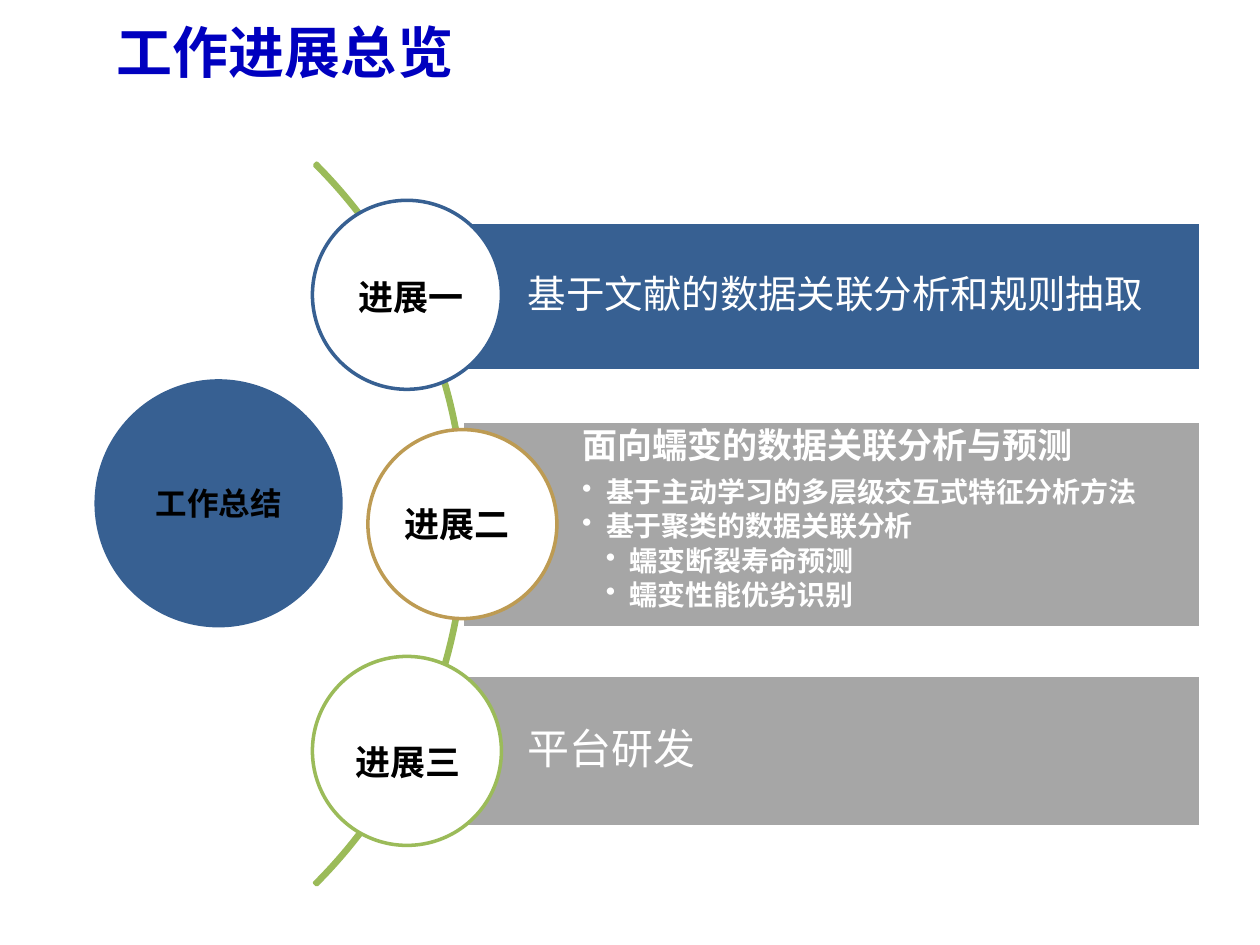
from lxml import etree
from pptx import Presentation
from pptx.dml.color import RGBColor
from pptx.enum.shapes import MSO_SHAPE
from pptx.enum.text import MSO_ANCHOR, MSO_AUTO_SIZE, PP_ALIGN
from pptx.oxml.ns import qn
from pptx.util import Inches, Pt

OVAL, RECT, ARC = MSO_SHAPE.OVAL, MSO_SHAPE.RECTANGLE, MSO_SHAPE.BLOCK_ARC
TOP, MIDDLE = MSO_ANCHOR.TOP, MSO_ANCHOR.MIDDLE
LEFT, CENTER = PP_ALIGN.LEFT, PP_ALIGN.CENTER
FIT_TEXT = MSO_AUTO_SIZE.SHAPE_TO_FIT_TEXT
BLUE, GRAY, GREEN, GOLD = "376092", "A6A6A6", "9BBB59", "BD9B53"
WHITE, BLACK, TITLE_BLUE = "FFFFFF", "000000", "0000BF"
RIGHT_EDGE, CIRCLE, INDENT = 9.53, 1.5, 0.19


def rgb(value):
    """Turn a hex string into a colour."""
    return RGBColor.from_string(value)


def add_shape(s, kind, box, fill=None, line=None):
    """Add a preset shape with a plain fill and an optional 2 pt line."""
    sp = s.shapes.add_shape(kind, *map(Inches, box))
    sp.shadow.inherit = False
    if fill:
        sp.fill.solid()
        sp.fill.fore_color.rgb = rgb(fill)
    else:
        sp.fill.background()
    if line:
        sp.line.color.rgb = rgb(line)
        sp.line.width = Pt(2)
    else:
        sp.line.fill.background()
    return sp


def write(p, text, size, color, bold=False, font="Calibri", align=LEFT):
    """Write one formatted run into a paragraph."""
    p.alignment = align
    r = p.add_run()
    r.text = text
    values = {"size": Pt(size), "bold": bold, "name": font}
    for name, value in values.items():
        setattr(r.font, name, value)
    r.font.color.rgb = rgb(color)


def add_bullet(p, level):
    """Give a paragraph a hanging bullet at the level's indent."""
    p.level = level
    pPr = p._p.get_or_add_pPr()
    pPr.set("marL", str(Inches(INDENT * level)))
    pPr.set("indent", str(-Inches(INDENT)))
    etree.SubElement(pPr, qn("a:buChar")).set("char", "•")


def add_label(s, box, text, size, color, font="Calibri", anchor=TOP):
    """Add a bold one-line text box."""
    sp = s.shapes.add_textbox(*map(Inches, box))
    tf = sp.text_frame
    tf.word_wrap = True
    tf.vertical_anchor = anchor
    if anchor == TOP:
        tf.auto_size = FIT_TEXT
    write(tf.paragraphs[0], text, size, color, True, font)


def add_bar(s, left, top, height, fill, heading, size, items=()):
    """Add a bar with a heading and optional (level, text) bullets."""
    box = (left, top, RIGHT_EDGE - left, height)
    tf = add_shape(s, RECT, box, fill, WHITE).text_frame
    tf.word_wrap = True
    tf.vertical_anchor = TOP if items else MIDDLE
    margins = {"left": 0.95, "top": 0.06, "right": 0.06, "bottom": 0.06}
    for side, value in margins.items():
        setattr(tf, f"margin_{side}", Inches(value))
    p = tf.paragraphs[0]
    p.line_spacing = 0.9
    write(p, heading, size, WHITE, bold=bool(items))
    if items:
        p.space_after = Pt(7)
    for level, text in items:
        p = tf.add_paragraph()
        add_bullet(p, level)
        p.line_spacing = 0.9
        p.space_after = Pt(2.4)
        write(p, text, 16, WHITE, bold=True)


def add_summary(s):
    """Add the summary circle and the arc around it."""
    sp = add_shape(s, OVAL, (0.75, 3.01, 1.97, 1.97), BLUE)
    tf = sp.text_frame
    tf.vertical_anchor = MIDDLE
    write(tf.paragraphs[0], "工作总结", 18, BLACK, True, align=CENTER)
    arc = add_shape(s, ARC, (-4.4, 0.11, 8.1, 8.1), line=GREEN)
    for i, value in enumerate((189, 27, 0.003)):
        arc.adjustments[i] = value


def main():
    """Build the progress overview slide."""
    prs = Presentation()
    prs.slide_width, prs.slide_height = Inches(10), Inches(7.5)
    s = prs.slides.add_slide(prs.slide_layouts[6])
    add_label(s, (0.83, -0.03, 9, 0.87), "工作进展总览", 32, TITLE_BLUE,
              "Noto Sans CJK SC", MIDDLE)
    add_summary(s)
    details = [
        (1, "基于主动学习的多层级交互式特征分析方法"),
        (1, "基于聚类的数据关联分析"),
        (2, "蠕变断裂寿命预测"),
        (2, "蠕变性能优劣识别"),
    ]
    bars = [
        (3.24, 1.76, 1.18, BLUE, "基于文献的数据关联分析和规则抽取", 22),
        (3.67, 3.34, 1.64, GRAY, "面向蠕变的数据关联分析与预测", 20, details),
        (3.24, 5.36, 1.2, GRAY, "平台研发", 24),
    ]
    circles = [(2.48, 1.59, BLUE), (2.92, 3.41, GOLD), (2.48, 5.21, GREEN)]
    labels = [
        (2.75, 2.14, 1.11, "进展一"),
        (3.11, 3.94, 1.06, "进展二"),
        (2.72, 5.83, 1.18, "进展三"),
    ]
    for bar, (left, top, line) in zip(bars, circles):
        add_bar(s, *bar)
        add_shape(s, OVAL, (left, top, CIRCLE, CIRCLE), WHITE, line)
    for left, top, width, text in labels:
        add_label(s, (left, top, width, 0.44), text, 20, BLACK)
    prs.save("out.pptx")


if __name__ == "__main__":
    main()
